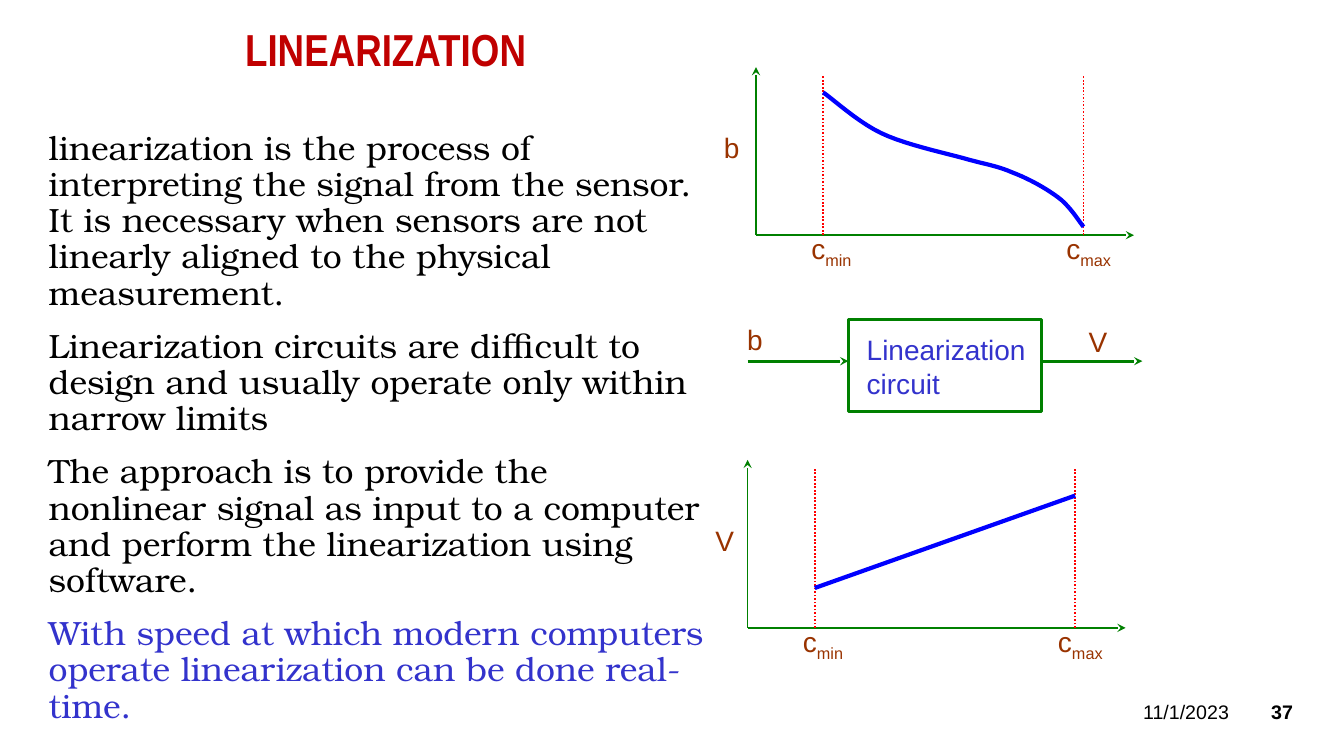
from dataclasses import dataclass

from lxml.etree import SubElement
from pptx import Presentation
from pptx.dml.color import RGBColor
from pptx.enum.dml import MSO_LINE as Dash
from pptx.enum.shapes import MSO_CONNECTOR as Link, MSO_SHAPE as Kind
from pptx.enum.text import MSO_ANCHOR as Anchor, MSO_AUTO_SIZE as Fit, PP_ALIGN as Align
from pptx.oxml.ns import qn
from pptx.util import Pt

GREEN, RED, BLUE = "008000", "FF0000", "0000FF"
BROWN, INDIGO, BLACK = "993300", "3333CC", "000000"
Point = tuple[float, float]


@dataclass
class Line:
    start: Point
    end: Point
    color: str
    width: float
    arrow: bool = False
    dotted: bool = False


@dataclass
class Label:
    left: float
    top: float
    width: float
    text: str
    sub: str = ""
    color: str = BROWN
    height: float = 31


@dataclass
class Graph:
    """Axes with their corner at (x, y) and a name beside the upright axis."""
    x: float
    y: float
    name: str
    width: float


GRAPHS = [Graph(540, 168, "b", 26), Graph(534, 448.5, "V", 28)]
FLOWS = [
    Line((534, 258), (606, 258), GREEN, 2, arrow=True),
    Line((744, 258), (816, 258), GREEN, 2, arrow=True),
]
LABELS = [
    Label(612, 234, 128, "Linearization\ncircuit", color=INDIGO, height=55.5),
    Label(770.5, 228.5, 28, "V"),
    Label(526.5, 227, 26, "b"),
]
# Each row holds two control points and an end point of a Bezier piece.
START = (588, 66)
CURVE = [
    ((594.7, 70.6), (612.7, 87.1), (629.3, 95)),
    ((645.8, 103), (672.5, 108.7), (688.3, 113)),
    ((703.4, 117.4), (711.4, 118.1), (722.9, 123.1)),
    ((734.4, 127.4), (747.4, 134.6), (756, 141.1)),
    ((764.6, 147.6), (770.4, 157.7), (774, 162)),
]
BODY = [
    ("linearization is the process of interpreting the signal from the sensor. "
     "It is necessary when sensors are not linearly aligned to the physical "
     "measurement.", BLACK),
    ("Linearization circuits are difficult to design and usually operate only "
     "within narrow limits", BLACK),
    ("The approach is to provide the nonlinear signal as input to a computer "
     "and perform the linearization using software.", BLACK),
    ("With speed at which modern computers operate linearization can be done "
     "real-time.", INDIGO),
]


def rgb(color: str) -> RGBColor:
    return RGBColor.from_string(color)


def set_font(para, name: str, size: float, color: str, bold: bool = False) -> None:
    font = para.font
    font.name, font.size, font.bold = name, Pt(size), bold
    font.color.rgb = rgb(color)


def add_box(slide, left: float, top: float, width: float, height: float,
            anchor=Anchor.TOP, wrap: bool = True):
    """Add an empty text box and return its frame."""
    box = slide.shapes.add_textbox(Pt(left), Pt(top), Pt(width), Pt(height))
    frame = box.text_frame
    frame.word_wrap, frame.vertical_anchor = wrap, anchor
    return frame


def add_line(slide, line: Line) -> None:
    ends = [Pt(n) for n in line.start + line.end]
    link = slide.shapes.add_connector(Link.STRAIGHT, *ends)
    link.line.color.rgb = rgb(line.color)
    link.line.width = Pt(line.width)
    if line.dotted:
        link.line.dash_style = Dash.ROUND_DOT
    props = link._element.spPr
    if line.arrow:
        SubElement(props.find(qn("a:ln")), qn("a:tailEnd"), type="stealth")
    SubElement(props, qn("a:effectLst"))


def add_label(slide, label: Label) -> None:
    frame = add_box(slide, label.left, label.top, label.width, label.height,
                    wrap=False)
    frame.auto_size = Fit.SHAPE_TO_FIT_TEXT
    frame.text = label.text
    for para in frame.paragraphs:
        set_font(para, "Arial", 20, label.color)
    if label.sub:
        run = frame.paragraphs[0].add_run()
        run.text = label.sub
        run._r.get_or_add_rPr().set("baseline", "-25000")


def add_graph(slide, graph: Graph) -> None:
    x, y = graph.x, graph.y
    for end in ((x, y - 120), (x + 270, y)):
        add_line(slide, Line((x, y), end, GREEN, 1.25, arrow=True))
    for dx in (48, 234):
        add_line(slide, Line((x + dx, y), (x + dx, y - 114), RED, 1.25, dotted=True))
    add_label(slide, Label(x + 32.4, y - 6, 46, "c", "min"))
    add_label(slide, Label(x + 214.6, y - 6, 49.7, "c", "max"))
    add_label(slide, Label(x - 30, y - 78, graph.width, graph.name))


def bezier(knots: list[Point], t: float) -> Point:
    parts = ((1 - t) ** 3, 3 * t * (1 - t) ** 2, 3 * t * t * (1 - t), t ** 3)
    x, y = (sum(w * k[i] for w, k in zip(parts, knots)) for i in (0, 1))
    return x, y


def add_curve(slide, steps: int = 10) -> None:
    points, last = [], START
    for piece in CURVE:
        points += [bezier([last, *piece], n / steps) for n in range(1, steps + 1)]
        last = piece[-1]
    pen = slide.shapes.build_freeform(Pt(START[0]), Pt(START[1]))
    pen.add_line_segments([(Pt(x), Pt(y)) for x, y in points], close=False)
    curve = pen.convert_to_shape()
    curve.shadow.inherit = False
    curve.fill.background()
    curve.line.color.rgb = rgb(BLUE)
    curve.line.width = Pt(3)


def add_circuit(slide) -> None:
    box = slide.shapes.add_shape(Kind.RECTANGLE, Pt(606), Pt(228), Pt(138), Pt(66))
    box.shadow.inherit = False
    box.fill.background()
    box.line.color.rgb = rgb(GREEN)
    box.line.width = Pt(2)


def add_texts(slide) -> None:
    title = add_box(slide, 168, 12, 270, 50.4, Anchor.MIDDLE).paragraphs[0]
    title.text, title.line_spacing = "LINEARIZATION", 0.9
    set_font(title, "Arial Narrow", 32, "C00000", bold=True)

    frame = add_box(slide, 18.7, 90, 491.5, 414)
    for n, (text, color) in enumerate(BODY):
        para = frame.add_paragraph() if n else frame.paragraphs[0]
        para.text, para.line_spacing = text, 0.9
        para.space_before = Pt(12 if n else 0)
        para._p.get_or_add_pPr().set("marL", str(Pt(9)))
        set_font(para, "TeX Gyre Bonum", 24, color)

    for left, width, text, align, bold in (
        (627, 258, "11/1/2023", Align.RIGHT, False),
        (890.6, 50.4, "37", Align.CENTER, True),
    ):
        para = add_box(slide, left, 494, width, 28.8, Anchor.MIDDLE).paragraphs[0]
        para.text, para.alignment = text, align
        set_font(para, "Arial", 14, BLACK, bold)


def main() -> None:
    deck = Presentation()
    deck.slide_width, deck.slide_height = Pt(960), Pt(540)
    slide = deck.slides.add_slide(deck.slide_layouts[6])
    add_texts(slide)
    for graph in GRAPHS:
        add_graph(slide, graph)
    add_curve(slide)
    add_line(slide, Line((582, 420), (768, 354), BLUE, 3))
    add_circuit(slide)
    for flow in FLOWS:
        add_line(slide, flow)
    for label in LABELS:
        add_label(slide, label)
    deck.save("out.pptx")


if __name__ == "__main__":
    main()
